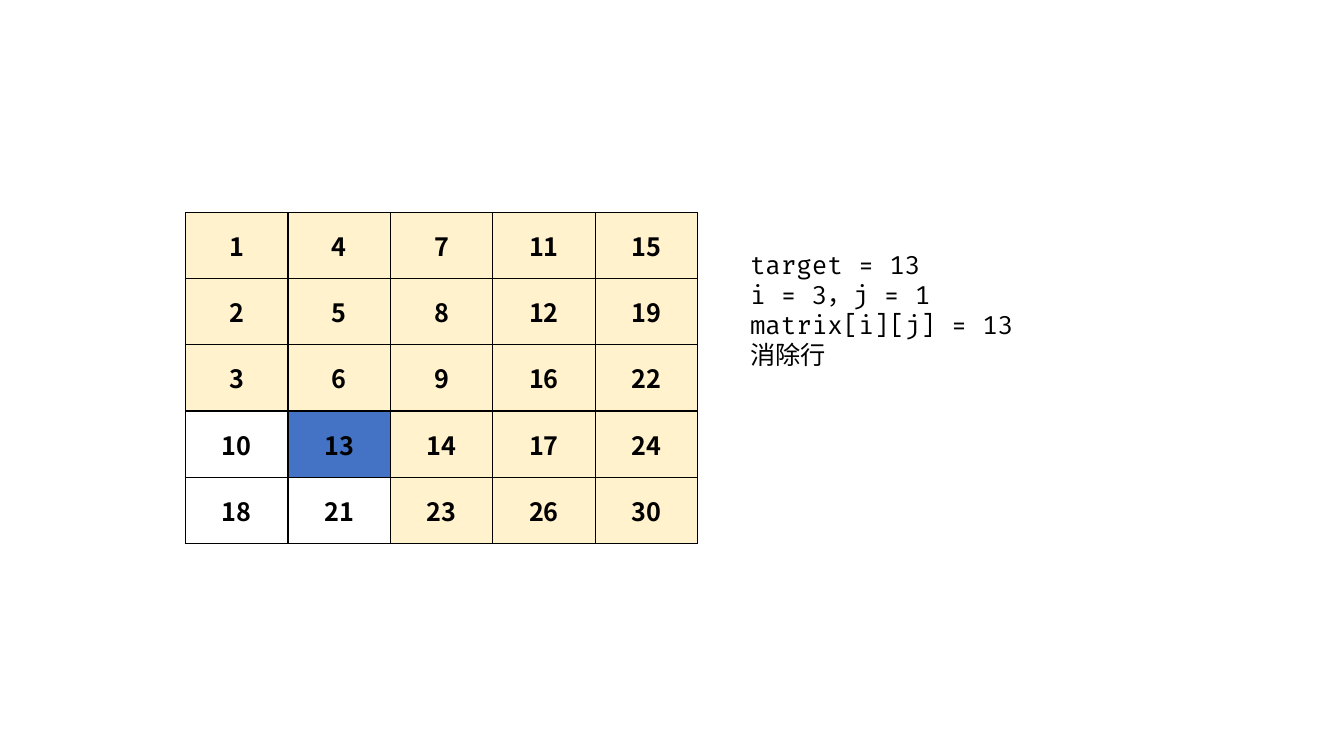
import pptx
import pptx.dml.color
import pptx.enum.text
import pptx.oxml.ns
import pptx.util
from lxml import etree

RGBColor = pptx.dml.color.RGBColor
Inches = pptx.util.Inches

MATRIX = [
    [1, 4, 7, 11, 15],
    [2, 5, 8, 12, 19],
    [3, 6, 9, 16, 22],
    [10, 13, 14, 17, 24],
    [18, 21, 23, 26, 30],
]
CURRENT = (3, 1)
STATE = ["target = 13", "i = 3，j = 1", "matrix[i][j] = 13", "消除行"]

BLACK = RGBColor(0x00, 0x00, 0x00)
WHITE = RGBColor(0xFF, 0xFF, 0xFF)
ELIMINATED = RGBColor(0xFF, 0xF2, 0xCC)
FOUND = RGBColor(0x44, 0x72, 0xC4)

CJK_FONT = "Noto Sans CJK SC"
CODE_FONT = "Fira Code"
TEXT_SIZE = pptx.util.Pt(18)
MATRIX_LEFT, MATRIX_TOP, MATRIX_WIDTH, MATRIX_HEIGHT = map(Inches, (1.84, 2.11, 5.08, 3.28))
STATE_BOX = [Inches(length) for length in (7.34, 2.42, 4.15, 1.31)]


def add_text(paragraph, text, font_name, bold=False):
    run = paragraph.add_run()
    run.text = text
    run.font.name = font_name
    run.font.size = TEXT_SIZE
    run.font.bold = bold
    run.font.color.rgb = BLACK
    east_asian = etree.Element(pptx.oxml.ns.qn("a:ea"), typeface=CJK_FONT)
    run.font._element.find(pptx.oxml.ns.qn("a:latin")).addnext(east_asian)


def add_borders(cell):
    """Rule all four sides; the schema wants the lines ahead of the fill."""
    properties = cell._tc.get_or_add_tcPr()
    for position, side in enumerate("LRTB"):
        line = etree.Element(pptx.oxml.ns.qn(f"a:ln{side}"), w=str(pptx.util.Pt(1)))
        fill = etree.SubElement(line, pptx.oxml.ns.qn("a:solidFill"))
        etree.SubElement(fill, pptx.oxml.ns.qn("a:srgbClr"), val=str(BLACK))
        properties.insert(position, line)


def cell_color(row, column):
    """Rows above and columns right of the current cell are eliminated."""
    if (row, column) == CURRENT:
        return FOUND
    if row < CURRENT[0] or column > CURRENT[1]:
        return ELIMINATED
    return WHITE


def add_matrix(slide):
    table = slide.shapes.add_table(
        len(MATRIX), len(MATRIX[0]), MATRIX_LEFT, MATRIX_TOP, MATRIX_WIDTH, MATRIX_HEIGHT
    ).table
    table.first_row = False
    table.horz_banding = False
    for row, numbers in enumerate(MATRIX):
        for column, number in enumerate(numbers):
            cell = table.cell(row, column)
            cell.vertical_anchor = pptx.enum.text.MSO_ANCHOR.MIDDLE
            cell.fill.solid()
            cell.fill.fore_color.rgb = cell_color(row, column)
            add_borders(cell)
            paragraph = cell.text_frame.paragraphs[0]
            paragraph.alignment = pptx.enum.text.PP_ALIGN.CENTER
            add_text(paragraph, str(number), CJK_FONT, bold=True)


def add_state(slide):
    frame = slide.shapes.add_textbox(*STATE_BOX).text_frame
    frame.word_wrap = True
    frame.auto_size = pptx.enum.text.MSO_AUTO_SIZE.SHAPE_TO_FIT_TEXT
    for index, line in enumerate(STATE):
        paragraph = frame.add_paragraph() if index else frame.paragraphs[0]
        add_text(paragraph, line, CODE_FONT)


def main():
    presentation = pptx.Presentation()
    presentation.slide_width = Inches(13.33)
    presentation.slide_height = Inches(7.5)
    slide = presentation.slides.add_slide(presentation.slide_layouts[6])
    add_matrix(slide)
    add_state(slide)
    presentation.save("out.pptx")


if __name__ == "__main__":
    main()
